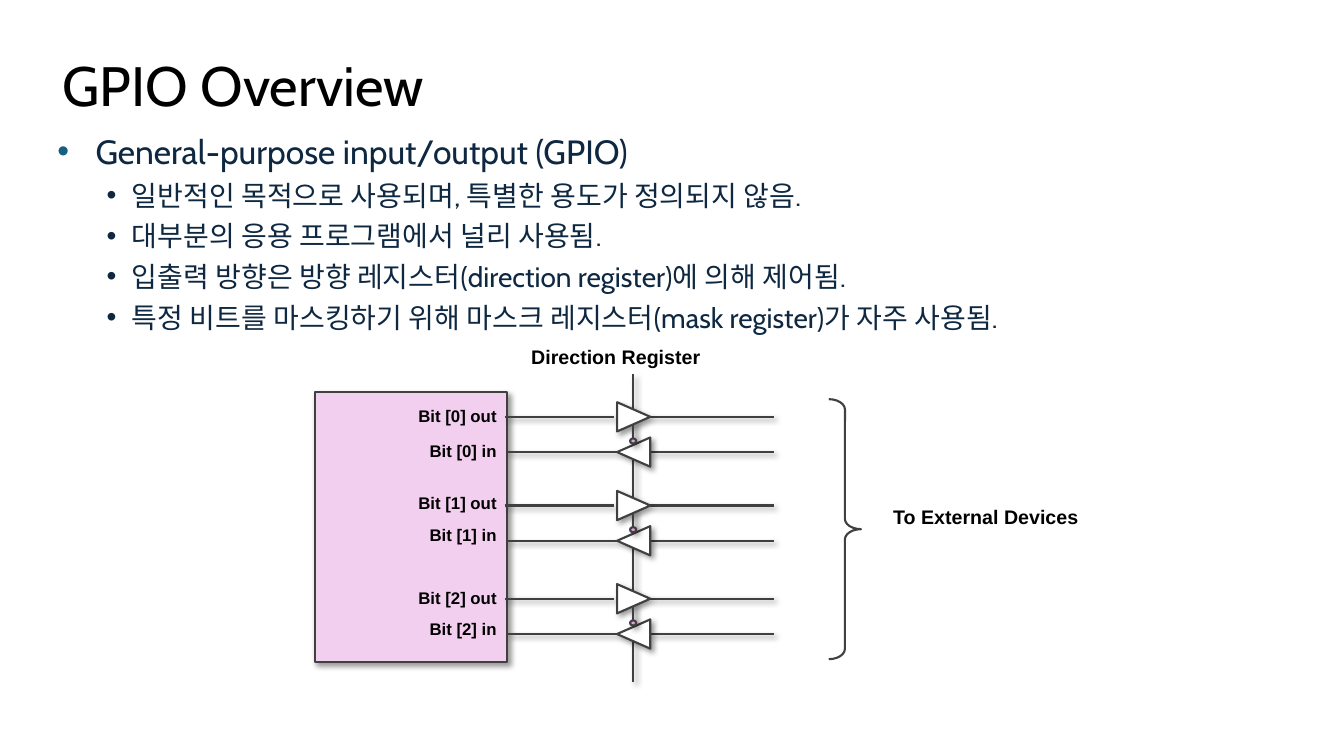
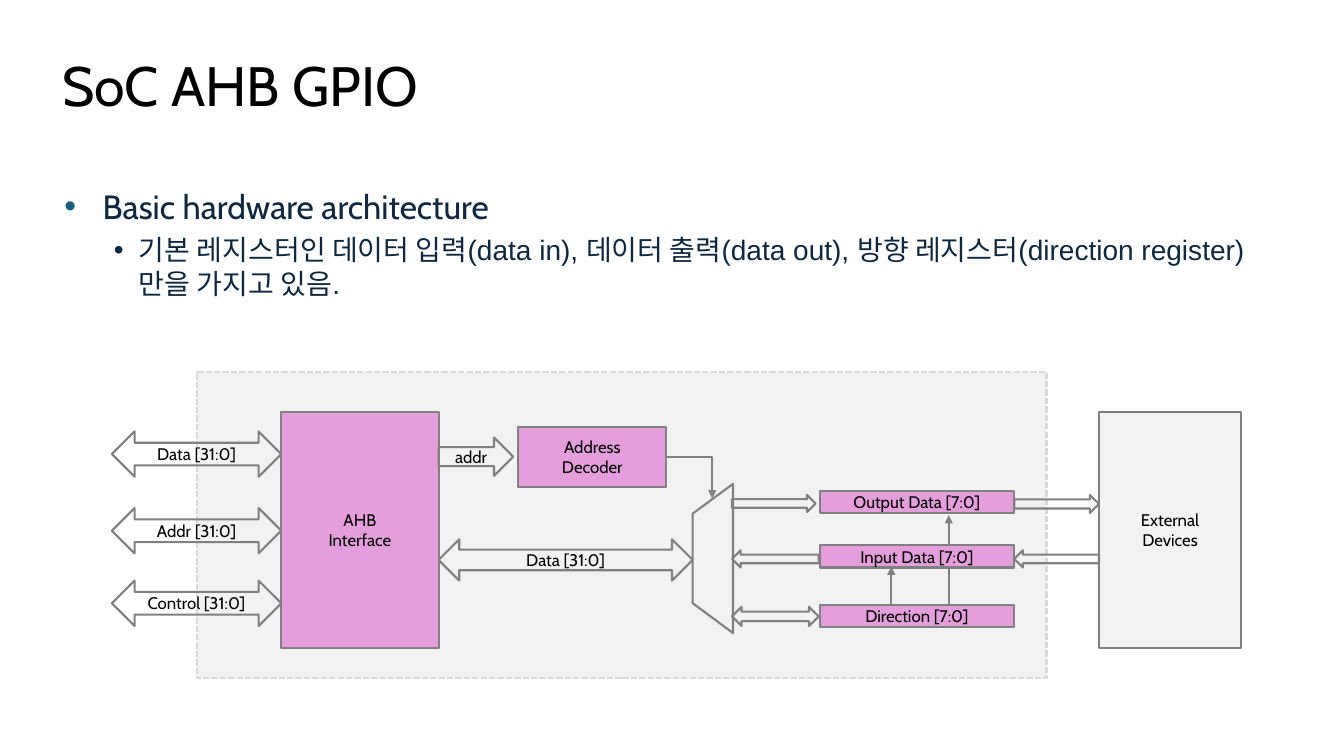
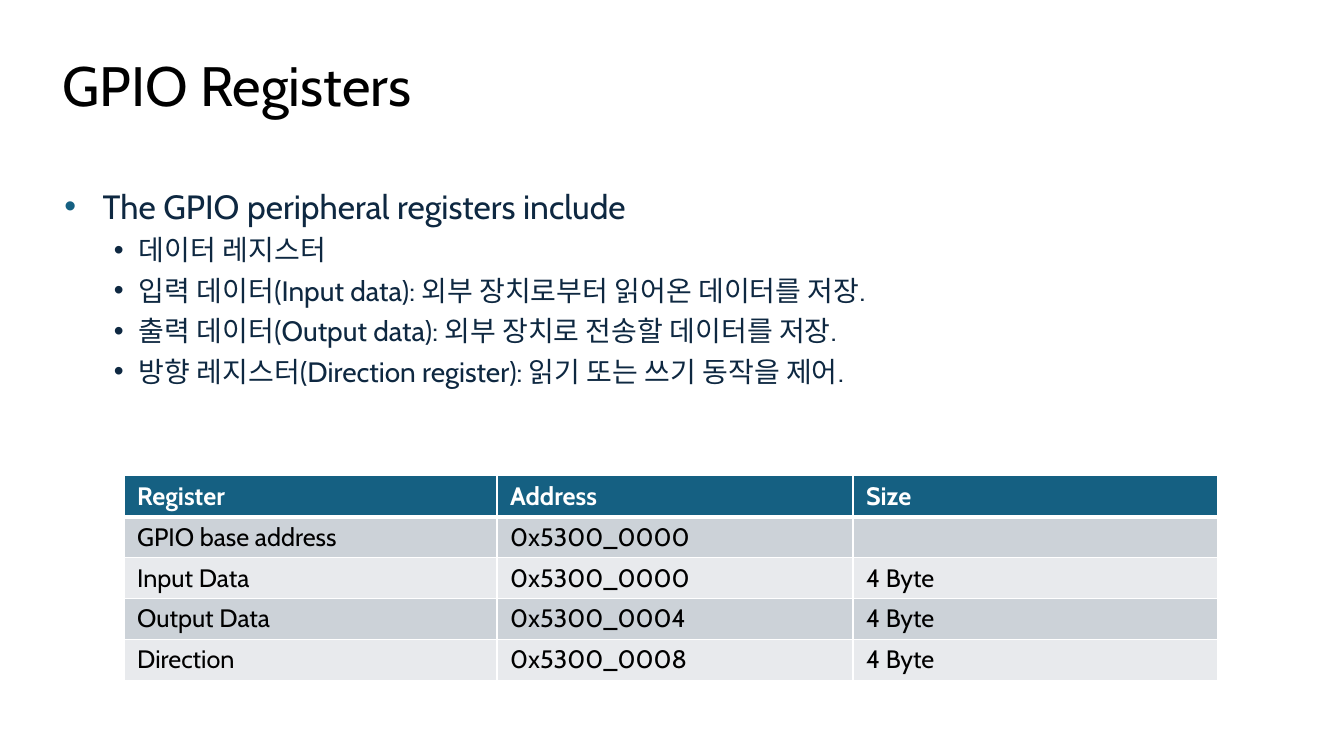
from dataclasses import dataclass

from lxml import etree
from pptx import Presentation
from pptx import util as u
from pptx.dml.color import RGBColor
from pptx.enum import dml, shapes, text
from pptx.oxml.ns import qn


@dataclass(frozen=True)
class Theme:
    heading_font: str = "Cabin"
    plain_font: str = "Arial"
    black: str = "000000"
    white: str = "FFFFFF"
    navy: str = "0E2841"
    teal: str = "156082"
    ink: str = "404040"
    gray: str = "808080"
    border: str = "D9D9D9"
    panel: str = "F2F2F2"
    pink: str = "E59EDD"
    pale_pink: str = "F2CFEE"
    bands: tuple = ("CCD2D8", "E8EAED")
    title_size: float = 39.6
    topic_size: int = 24
    point_size: int = 20
    table_size: int = 18
    caption_size: int = 14
    label_size: int = 12
    line_width: float = 1.5


theme = Theme()
SHAPE, CONNECTOR = shapes.MSO_SHAPE, shapes.MSO_CONNECTOR
CELL = u.Inches(0.1)  # grid of 133.33 columns by 75 rows


def write(frame, words, font=theme.heading_font, size=theme.label_size, color=theme.black,
          bold=False, align=text.PP_ALIGN.LEFT, anchor=text.MSO_ANCHOR.TOP, wrap=True):
    frame.text = words
    frame.word_wrap = wrap
    frame.vertical_anchor = anchor
    for paragraph in frame.paragraphs:
        paragraph.alignment = align
        for run in paragraph.runs:
            run.font.name = font
            run.font.size = u.Pt(size)
            run.font.bold = bold
            run.font.color.rgb = RGBColor.from_string(color)


def draw(slide, kind, left, top, width, height, fill=None, line=theme.gray,
         shadow=False, rotation=0, arrow=False, label=""):
    """Add a shape or a connector, measured in grid cells."""
    box = [round(value * CELL) for value in (left, top, width, height)]
    if isinstance(kind, CONNECTOR):
        shape = slide.shapes.add_connector(kind, box[0], box[1], box[0] + box[2], box[1] + box[3])
    else:
        shape = slide.shapes.add_shape(kind, *box)
        shape.rotation = rotation
        if fill:
            shape.fill.solid()
            shape.fill.fore_color.rgb = RGBColor.from_string(fill)
        else:
            shape.fill.background()
        if label:
            write(shape.text_frame, label, align=text.PP_ALIGN.CENTER,
                  anchor=text.MSO_ANCHOR.MIDDLE, wrap=False)
    shape.line.color.rgb = RGBColor.from_string(line)
    shape.line.width = u.Pt(theme.line_width)
    properties = shape._element.spPr
    if arrow:
        etree.SubElement(properties.find(qn("a:ln")), qn("a:tailEnd"), type="triangle")
    effects = etree.SubElement(properties, qn("a:effectLst"))
    if shadow:
        outer = etree.SubElement(effects, qn("a:outerShdw"), blurRad=str(u.Pt(4)),
                                 dist=str(u.Pt(3)), dir="2700000", algn="tl", rotWithShape="0")
        tint = etree.SubElement(outer, qn("a:srgbClr"), val=theme.black)
        etree.SubElement(tint, qn("a:alpha"), val="40000")
    return shape


presentation = Presentation()
presentation.slide_width, presentation.slide_height = u.Inches(13.33), u.Inches(7.5)

# Titles and bullet lists: title, list left and top, font of the points, topic, points
outlines = [
    ("GPIO Overview", 4.7, 12.5, theme.heading_font, "General-purpose input/output (GPIO)", [
        "일반적인 목적으로 사용되며, 특별한 용도가 정의되지 않음.",
        "대부분의 응용 프로그램에서 널리 사용됨.",
        "입출력 방향은 방향 레지스터(direction register)에 의해 제어됨.",
        "특정 비트를 마스킹하기 위해 마스크 레지스터(mask register)가 자주 사용됨."]),
    ("SoC AHB GPIO", 5.4, 17.9, theme.plain_font, "Basic hardware architecture", [
        "기본 레지스터인 데이터 입력(data in), 데이터 출력(data out), "
        "방향 레지스터(direction register)만을 가지고 있음."]),
    ("GPIO Registers", 5.4, 17.9, theme.heading_font, "The GPIO peripheral registers include", [
        "데이터 레지스터",
        "입력 데이터(Input data): 외부 장치로부터 읽어온 데이터를 저장.",
        "출력 데이터(Output data): 외부 장치로 전송할 데이터를 저장.",
        "방향 레지스터(Direction register): 읽기 또는 쓰기 동작을 제어."]),
]
slides = []
for title_words, left, top, point_font, topic, points in outlines:
    slide = presentation.slides.add_slide(presentation.slide_layouts[5])
    slides.append(slide)
    title = slide.shapes.title
    title.left, title.top = round(5.2 * CELL), round(5.2 * CELL)
    title.width, title.height = round(122.8 * CELL), round(7.2 * CELL)
    write(title.text_frame, title_words, size=theme.title_size, anchor=text.MSO_ANCHOR.MIDDLE)
    title.text_frame.auto_size = text.MSO_AUTO_SIZE.NONE
    title.text_frame.paragraphs[0].line_spacing = 0.9

    body = slide.shapes.add_textbox(round(left * CELL), round(top * CELL),
                                    round(122.3 * CELL), round(27.1 * CELL))
    write(body.text_frame, "\n".join([topic, *points]), font=point_font,
          size=theme.point_size, color=theme.navy)
    for index, paragraph in enumerate(body.text_frame.paragraphs):
        is_topic = index == 0
        paragraph.level = 0 if is_topic else 1
        paragraph.space_before = u.Pt(6 if is_topic else 5)
        if is_topic:
            paragraph.runs[0].font.size = u.Pt(theme.topic_size)
            paragraph.runs[0].font.name = theme.heading_font
        margin, indent = (0.38, -0.38) if is_topic else (0.74, -0.25)
        settings = paragraph._p.get_or_add_pPr()
        settings.set("marL", str(u.Inches(margin)))
        settings.set("indent", str(u.Inches(indent)))
        bullet_color = etree.SubElement(settings, qn("a:buClr"))
        etree.SubElement(bullet_color, qn("a:srgbClr"), val=theme.teal if is_topic else theme.navy)
        etree.SubElement(settings, qn("a:buFont"), typeface=theme.plain_font)
        etree.SubElement(settings, qn("a:buChar"), char="•")

overview, architecture, registers = slides

# GPIO Overview: register block, direction line and three pairs of buffers
wire = dict(line=theme.ink, shadow=True)
axis = 62.8
captions = [("Direction Register", 51.7, 33.7, 25.1, theme.caption_size, text.PP_ALIGN.LEFT),
            ("To External Devices", 87.6, 49.6, 25.1, theme.caption_size, text.PP_ALIGN.LEFT)]
draw(overview, CONNECTOR.STRAIGHT, axis, 67.7, 0, -30.6, **wire)
draw(overview, SHAPE.RECTANGLE, 31.2, 38.9, 19.1, 26.8, fill=theme.pale_pink, **wire)
for bit, (out_row, out_label, in_label) in enumerate(
        [(41.35, 39.8, 43.2), (50.15, 48.4, 51.6), (59.4, 57.8, 60.9)]):
    in_row = out_row + 3.5
    for row, start, end, rotation in [(out_row, 50.1, 60.9, 90), (in_row, 50.3, 61.2, 270)]:
        draw(overview, CONNECTOR.STRAIGHT, start, row, end - start, 0, **wire)
        draw(overview, CONNECTOR.STRAIGHT, 64.5, row, 12.3, 0, **wire)
        draw(overview, SHAPE.ISOSCELES_TRIANGLE, axis - 1.4, row - 1.65, 2.9, 3.3,
             fill=theme.white, rotation=rotation, **wire)
    draw(overview, CONNECTOR.STRAIGHT, axis, out_row + 2.1, 0, -1.3, **wire)
    draw(overview, SHAPE.OVAL, axis - 0.3, out_row + 2.15, 0.6, 0.5, fill=theme.pink, **wire)
    for direction, label_top in [("out", out_label), ("in", in_label)]:
        captions.append((f"Bit [{bit}] {direction}", 35, label_top, 15.25,
                         theme.label_size, text.PP_ALIGN.RIGHT))
for words, left, top, width, size, align in captions:
    caption = overview.shapes.add_textbox(round(left * CELL), round(top * CELL),
                                          round(width * CELL), round(3 * CELL))
    write(caption.text_frame, words, font=theme.plain_font, size=size, bold=True, align=align)
brace = draw(overview, SHAPE.RIGHT_BRACE, 82.2, 39.6, 3.2, 25.8, line=theme.ink)
brace.adjustments[0] = 0.32

# SoC AHB GPIO: block diagram
boundary = draw(architecture, SHAPE.RECTANGLE, 19.5, 36.9, 84.3, 30.4,
                fill=theme.panel, line=theme.border)
boundary.line.dash_style = dml.MSO_LINE.SQUARE_DOT
draw(architecture, CONNECTOR.STRAIGHT, 94.1, 59.9, 0, -8.8, arrow=True)
draw(architecture, CONNECTOR.STRAIGHT, 88.4, 60.6, 0, -4.4, arrow=True)
for label, left, top, width, height, fill in [
        ("AHB\nInterface", 27.9, 40.9, 15.6, 23.4, theme.pink),
        ("Address\nDecoder", 51.4, 42.4, 14.7, 5.9, theme.pink),
        ("Output Data [7:0]", 81.3, 48.7, 19.3, 2.2, theme.pink),
        ("Input Data [7:0]", 81.3, 54.1, 19.3, 2.2, theme.pink),
        ("Direction [7:0]", 81.3, 60, 19.3, 2.2, theme.pink),
        ("External\nDevices", 109, 40.9, 14.1, 23.4, theme.panel)]:
    draw(architecture, SHAPE.FLOWCHART_PROCESS, left, top, width, height, fill=fill, label=label)
draw(architecture, SHAPE.FLOWCHART_MANUAL_OPERATION, 63.3, 53.4, 14.8, 4,
     fill=theme.panel, rotation=90)
select = draw(architecture, CONNECTOR.ELBOW, 66.1, 45.3, 4.55, 4.15, arrow=True)
select._element.spPr.find(qn("a:prstGeom")).set("prst", "bentConnector2")
for kind, left, top, width, height, rotation, label in [
        (SHAPE.LEFT_RIGHT_ARROW, 11.1, 42.8, 16.8, 4.5, 0, "Data [31:0]"),
        (SHAPE.LEFT_RIGHT_ARROW, 11.1, 50.4, 16.8, 4.5, 0, "Addr [31:0]"),
        (SHAPE.LEFT_RIGHT_ARROW, 11.1, 57.6, 16.8, 4.5, 0, "Control [31:0]"),
        (SHAPE.RIGHT_ARROW, 43.5, 43.4, 7.4, 3.8, 0, "addr"),
        (SHAPE.LEFT_RIGHT_ARROW, 43.5, 53.5, 25.2, 4.1, 0, "Data [31:0]"),
        (SHAPE.LEFT_RIGHT_ARROW, 72.6, 60.2, 8.6, 1.9, 0, ""),
        (SHAPE.RIGHT_ARROW, 100.6, 49.1, 8.4, 1.8, 0, ""),
        (SHAPE.RIGHT_ARROW, 100.6, 54.6, 8.4, 1.7, 180, ""),
        (SHAPE.RIGHT_ARROW, 72.6, 49.1, 8.3, 1.7, 0, ""),
        (SHAPE.RIGHT_ARROW, 72.6, 54.6, 8.6, 1.7, 180, "")]:
    draw(architecture, kind, left, top, width, height, rotation=rotation, label=label)

# GPIO Registers: address table
rows = [("Register", "Address", "Size"),
        ("GPIO base address", "0x5300_0000", ""),
        ("Input Data", "0x5300_0000", "4 Byte"),
        ("Output Data", "0x5300_0004", "4 Byte"),
        ("Direction", "0x5300_0008", "4 Byte")]
table = registers.shapes.add_table(len(rows), 3, round(12.3 * CELL), round(47.2 * CELL),
                                   round(108.5 * CELL), round(20.3 * CELL)).table
for column, width in zip(table.columns, (37, 35.3, 36.2)):
    column.width = round(width * CELL)
for row_index, row in enumerate(rows):
    is_header = row_index == 0
    for column_index, words in enumerate(row):
        cell = table.cell(row_index, column_index)
        write(cell.text_frame, words, size=theme.table_size, bold=is_header,
              color=theme.white if is_header else theme.black)
        cell.vertical_anchor = text.MSO_ANCHOR.MIDDLE
        cell.margin_left = cell.margin_right = u.Inches(0.13)
        cell.margin_top = cell.margin_bottom = u.Inches(0.05)
        cell.fill.solid()
        cell.fill.fore_color.rgb = RGBColor.from_string(
            theme.teal if is_header else theme.bands[(row_index - 1) % 2])
        settings = cell._tc.get_or_add_tcPr()
        for position, side in enumerate(("lnL", "lnR", "lnT", "lnB")):
            thick = (row_index, side) in ((0, "lnB"), (1, "lnT"))
            edge = etree.Element(qn(f"a:{side}"), w=str(u.Pt(3 if thick else 1)))
            paint = etree.SubElement(edge, qn("a:solidFill"))
            etree.SubElement(paint, qn("a:srgbClr"), val=theme.white)
            settings.insert(position, edge)

presentation.save("out.pptx")
